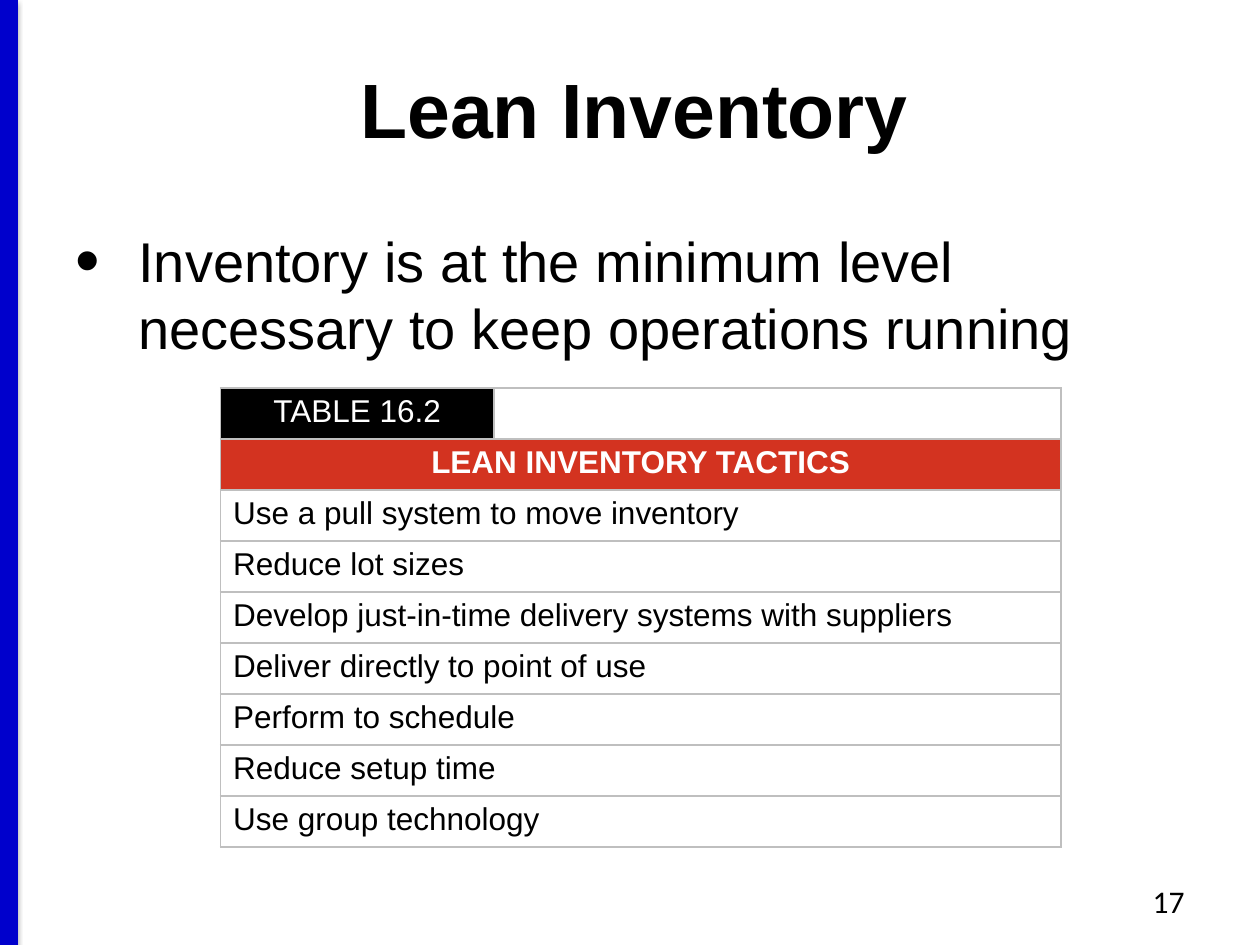
from lxml.etree import SubElement
from pptx import Presentation
from pptx.dml.color import RGBColor
from pptx.enum.shapes import MSO_CONNECTOR
from pptx.enum.text import MSO_ANCHOR, PP_ALIGN
from pptx.oxml.ns import qn
from pptx.util import Inches, Pt

COLORS = {"ink": "000000", "paper": "FFFFFF", "bar": "0000CC",
          "header": "D33320", "border": "BFBFBF"}
TACTICS = [
    "Use a pull system to move inventory",
    "Reduce lot sizes",
    "Develop just-in-time delivery systems with suppliers",
    "Deliver directly to point of use",
    "Perform to schedule",
    "Reduce setup time",
    "Use group technology",
]


def add_xml(parent, tag, **attrs):
    return SubElement(parent, qn(tag), {k: str(v) for k, v in attrs.items()})


class Deck:
    """Places elements on a slide; lengths are percentages of its width and height."""

    def __init__(self, width, height):
        self.prs = Presentation()
        self.prs.slide_width, self.prs.slide_height = Inches(width), Inches(height)
        self.s = self.prs.slides.add_slide(self.prs.slide_layouts[6])

    def x(self, share):
        return round(self.prs.slide_width * share / 100)

    def y(self, share):
        return round(self.prs.slide_height * share / 100)

    def box(self, left, top, width, height):
        return self.x(left), self.y(top), self.x(width), self.y(height)

    def style(self, tf, size, color="ink", font="Arial", bold=False, align=PP_ALIGN.LEFT):
        for p in tf.paragraphs:
            p.alignment = align
            for r in p.runs:
                r.font.size, r.font.name, r.font.bold = Pt(size), font, bold
                r.font.color.rgb = RGBColor.from_string(COLORS[color])

    def text(self, text, area, size, anchor=MSO_ANCHOR.TOP, **style):
        tf = self.s.shapes.add_textbox(*self.box(*area)).text_frame
        tf.word_wrap, tf.vertical_anchor = True, anchor
        tf.text = text
        self.style(tf, size, **style)
        return tf.paragraphs[0]

    def bullet(self, text, area, size):
        p = self.text(text, area, size)
        p.space_after = Pt(12)
        pPr = p._p.get_or_add_pPr()
        pPr.set("marL", str(Inches(0.5)))
        pPr.set("indent", str(Inches(-0.5)))
        add_xml(pPr, "a:buSzPct", val=125000)
        add_xml(pPr, "a:buFont", typeface="Arial")
        add_xml(pPr, "a:buChar", char="•")

    def side_bar(self, left, width):
        line = self.s.shapes.add_connector(
            MSO_CONNECTOR.STRAIGHT, self.x(left), 0, self.x(left), self.y(100))
        line.line.width = Pt(width)
        line.line.color.rgb = RGBColor.from_string(COLORS["bar"])
        effects = add_xml(line._element.spPr, "a:effectLst")
        shadow = add_xml(effects, "a:outerShdw", blurRad=Pt(3.1), dist=Pt(1.6),
                         dir=5400000, rotWithShape=0)
        add_xml(add_xml(shadow, "a:srgbClr", val=COLORS["ink"]), "a:alpha", val=38000)

    def cell(self, cell, text="", fill=None, **style):
        tcPr = cell._tc.get_or_add_tcPr()
        for side in "LRTB":
            ln = add_xml(tcPr, f"a:ln{side}", w=Pt(1))
            add_xml(add_xml(ln, "a:solidFill"), "a:srgbClr", val=COLORS["border"])
        if fill:
            cell.fill.solid()
            cell.fill.fore_color.rgb = RGBColor.from_string(COLORS[fill])
        else:
            cell.fill.background()
        if text:
            cell.text_frame.text = text
            self.style(cell.text_frame, 18, **style)

    def table(self, label, heading, items, area, label_width):
        rows = len(items) + 2
        table = self.s.shapes.add_table(rows, 2, *self.box(*area)).table
        table.first_row = table.horz_banding = False
        table.columns[0].width = self.x(label_width)
        table.columns[1].width = self.x(area[2] - label_width)
        light = {"color": "paper", "align": PP_ALIGN.CENTER}
        self.cell(table.cell(0, 0), label, fill="ink", **light)
        self.cell(table.cell(0, 1))
        for row, text in enumerate([heading, *items], start=1):
            first, last = table.cell(row, 0), table.cell(row, 1)
            first.merge(last)
            look = {"fill": "header", "bold": True, **light} if row == 1 else {}
            self.cell(first, text, **look)
            self.cell(last)


def main():
    deck = Deck(10, 7.5)
    deck.side_bar(0.7, 10)
    title = deck.text("Lean Inventory", (0.7, 4, 99.3, 16.67), 44,
                      anchor=MSO_ANCHOR.MIDDLE, bold=True, align=PP_ALIGN.CENTER)
    title.line_spacing = 0.8
    deck.bullet("Inventory is at the minimum level necessary to keep operations running",
                (5, 23.33, 90, 66), 32)
    deck.table("TABLE 16.2", "LEAN INVENTORY TACTICS", TACTICS,
               (17.5, 41.07, 66.7, 48.6), label_width=21.7)
    deck.text("17", (71.7, 92.67, 23.3, 5.33), 18, font="Calibri", align=PP_ALIGN.RIGHT)
    deck.prs.save("out.pptx")


if __name__ == "__main__":
    main()
